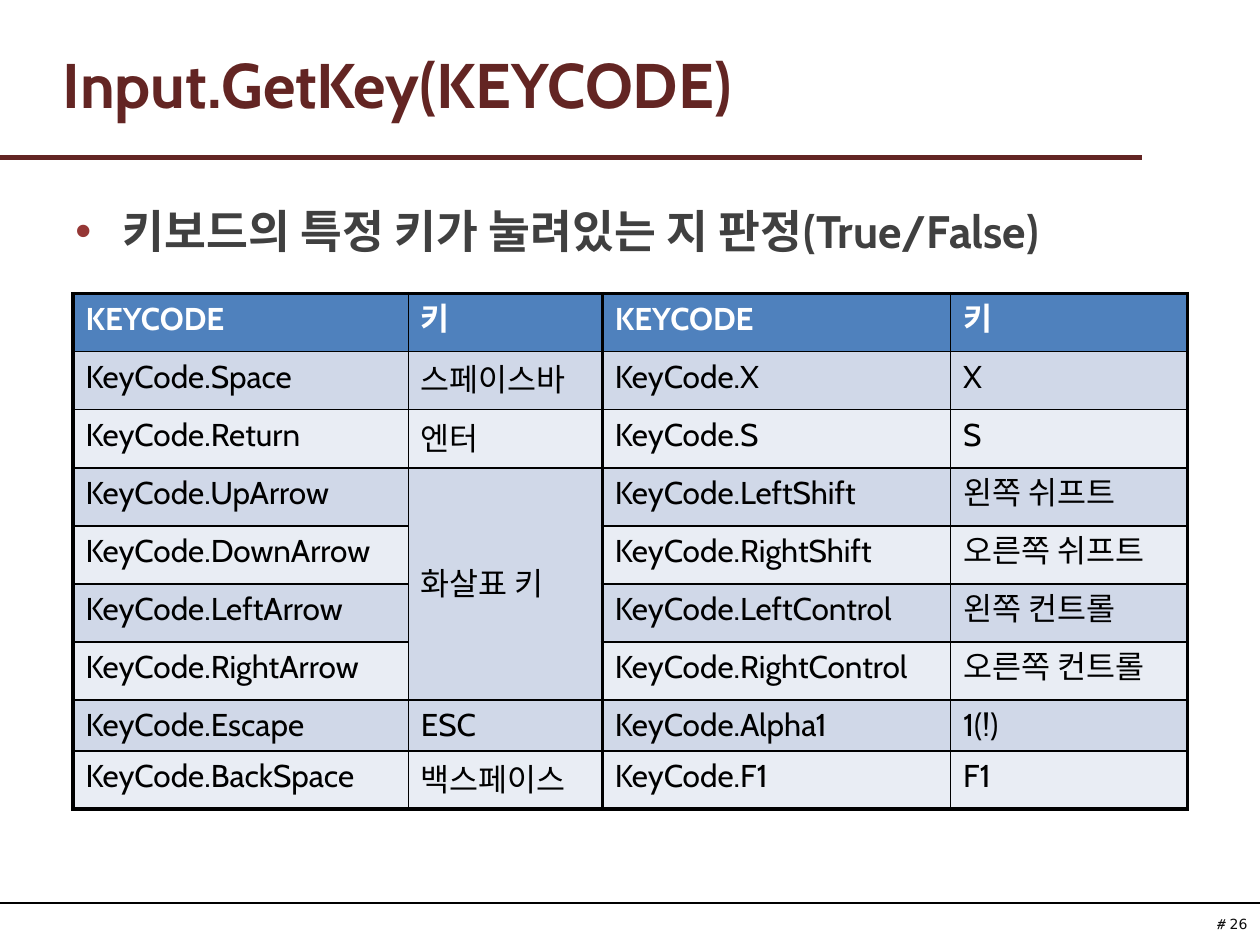
from dataclasses import dataclass

from lxml import etree
from pptx import Presentation
from pptx import util as u
from pptx.dml.color import RGBColor
from pptx.enum import shapes, text
from pptx.oxml import ns


@dataclass(frozen=True)
class Theme:
    font: str = "Cabin"
    number_font: str = "DejaVu Sans"
    maroon: str = "632523"
    bullet: str = "953735"
    body: str = "404040"
    number: str = "0D0D0D"
    black: str = "000000"
    white: str = "FFFFFF"
    header: str = "4F81BD"
    bands: tuple = ("D0D8E8", "E9EDF4")
    title_size: int = 36
    body_size: int = 26
    table_size: int = 18
    number_size: int = 8
    thin: float = 1
    thick: float = 2.25


T = Theme()

ROWS = [
    ("KEYCODE", "키", "KEYCODE", "키"),
    ("KeyCode.Space", "스페이스바", "KeyCode.X", "X"),
    ("KeyCode.Return", "엔터", "KeyCode.S", "S"),
    ("KeyCode.UpArrow", "화살표 키", "KeyCode.LeftShift", "왼쪽 쉬프트"),
    ("KeyCode.DownArrow", "", "KeyCode.RightShift", "오른쪽 쉬프트"),
    ("KeyCode.LeftArrow", "", "KeyCode.LeftControl", "왼쪽 컨트롤"),
    ("KeyCode.RightArrow", "", "KeyCode.RightControl", "오른쪽 컨트롤"),
    ("KeyCode.Escape", "ESC", "KeyCode.Alpha1", "1(!)"),
    ("KeyCode.BackSpace", "백스페이스", "KeyCode.F1", "F1"),
]
COL_WIDTHS = (6.76, 3.91, 7.02, 4.78)
LATIN_HEIGHT, KOREAN_HEIGHT = 1.03, 1.17
ARROW_ROWS = (3, 6)


def style_run(r, size, color, bold=False, font=T.font):
    r.font.name = font
    r.font.size = u.Pt(size)
    r.font.bold = bold
    r.font.color.rgb = RGBColor.from_string(color)
    etree.SubElement(r.font._element, ns.qn("a:ea"), typeface=font)


def add_text(s, box, content, size, color, bold=False):
    tf = s.shapes.add_textbox(*map(u.Cm, box)).text_frame
    tf.word_wrap = True
    p = tf.paragraphs[0]
    p.text = content
    style_run(p.runs[0], size, color, bold)
    return tf


def add_rule(s, y, width, color, weight):
    line = s.shapes.add_connector(
        shapes.MSO_CONNECTOR.STRAIGHT, 0, u.Cm(y), u.Cm(width), u.Cm(y))
    line.line.color.rgb = RGBColor.from_string(color)
    line.line.width = u.Pt(weight)
    etree.SubElement(line._element.spPr, ns.qn("a:effectLst"))


def add_bullet(p, indent):
    pPr = p._p.get_or_add_pPr()
    pPr.set("marL", str(u.Cm(indent)))
    pPr.set("indent", str(-u.Cm(indent)))
    color = etree.SubElement(pPr, ns.qn("a:buClr"))
    etree.SubElement(color, ns.qn("a:srgbClr"), val=T.bullet)
    etree.SubElement(pPr, ns.qn("a:buFont"), typeface="Arial")
    etree.SubElement(pPr, ns.qn("a:buChar"), char="•")


def set_borders(cell, weights):
    tcPr = cell._tc.get_or_add_tcPr()
    for side, weight in zip("LRTB", weights):
        ln = etree.SubElement(tcPr, ns.qn(f"a:ln{side}"), w=str(u.Pt(weight)))
        fill = etree.SubElement(ln, ns.qn("a:solidFill"))
        etree.SubElement(fill, ns.qn("a:srgbClr"), val=T.black)


def fill_cell(cell, row, col, content):
    is_header = row == 0
    is_key_name = col % 2 == 1
    set_borders(cell, (
        T.thin if is_key_name else T.thick,
        T.thick if is_key_name else T.thin,
        T.thick if is_header else T.thin,
        T.thick if row == len(ROWS) - 1 else T.thin,
    ))
    cell.fill.solid()
    band = T.header if is_header else T.bands[(row - 1) % 2]
    cell.fill.fore_color.rgb = RGBColor.from_string(band)
    if col == 1 and not is_header:
        cell.vertical_anchor = text.MSO_ANCHOR.MIDDLE
    if content:
        cell.text_frame.text = content
        r = cell.text_frame.paragraphs[0].runs[0]
        style_run(r, T.table_size, T.white if is_header else T.black, is_header)


def add_key_table(s, left, top):
    heights = [LATIN_HEIGHT if "".join(values).isascii() else KOREAN_HEIGHT
               for values in ROWS]
    table = s.shapes.add_table(
        len(ROWS), len(COL_WIDTHS), u.Cm(left), u.Cm(top),
        u.Cm(sum(COL_WIDTHS)), u.Cm(sum(heights))).table
    for column, width in zip(table.columns, COL_WIDTHS):
        column.width = u.Cm(width)
    for i, values in enumerate(ROWS):
        table.rows[i].height = u.Cm(heights[i])
        for j, value in enumerate(values):
            fill_cell(table.cell(i, j), i, j, value)
    first, last = ARROW_ROWS
    table.cell(first, 1).merge(table.cell(last, 1))


def add_page_number(s, number):
    tf = add_text(s, (24.1, 18.34, 1.3, 0.61), "# ", T.number_size, T.number)
    tf.word_wrap = False
    p = tf.paragraphs[0]
    p.alignment = text.PP_ALIGN.RIGHT
    r = p.add_run()
    r.text = number
    style_run(r, T.number_size, T.number, font=T.number_font)


def main():
    prs = Presentation()
    prs.slide_width, prs.slide_height = u.Cm(25.4), u.Cm(19.05)
    s = prs.slides.add_slide(prs.slide_layouts[6])

    add_page_number(s, "26")
    add_rule(s, 3.17, 23.02, T.maroon, 3)
    add_rule(s, 18.21, 25.4, T.black, 1)

    title = add_text(s, (0.76, 0.58, 22.86, 2.2), "Input.GetKey(KEYCODE)",
                     T.title_size, T.maroon, True)
    title.margin_left = u.Cm(0.51)
    title.vertical_anchor = text.MSO_ANCHOR.MIDDLE

    body = add_text(s, (1.27, 3.97, 22.86, 13.49),
                    "키보드의 특정 키가 눌려있는 지 판정(True/False)",
                    T.body_size, T.body, True)
    p = body.paragraphs[0]
    p.space_before = u.Pt(5)
    add_bullet(p, 0.95)

    add_key_table(s, 1.47, 5.92)
    prs.save("out.pptx")


if __name__ == "__main__":
    main()
